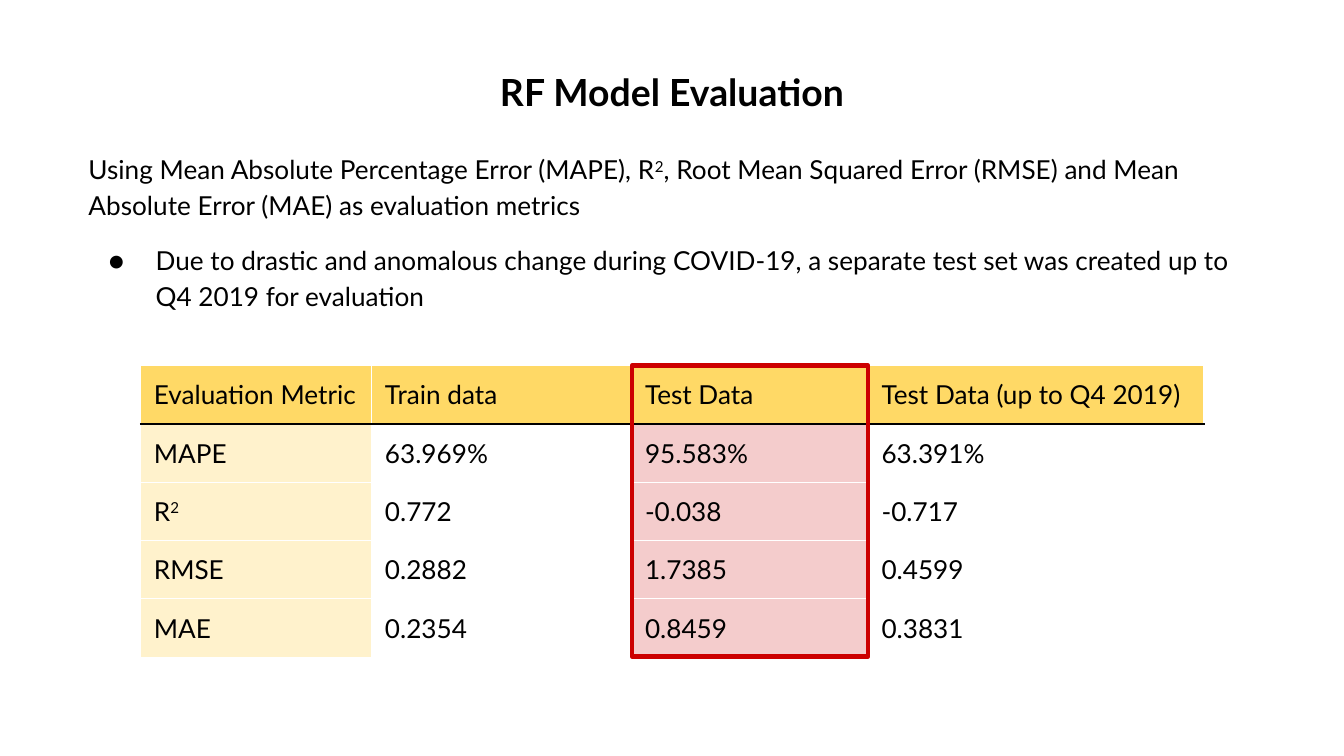
from lxml import etree
from pptx import Presentation
from pptx.dml.color import RGBColor
from pptx.enum.shapes import MSO_SHAPE
from pptx.enum.text import PP_ALIGN
from pptx.oxml.ns import qn
from pptx.util import Pt

RECT = MSO_SHAPE.RECTANGLE
CENTER = PP_ALIGN.CENTER
SCALE = 4572
PAD = 20
FONT = "Lato"
BLACK, WHITE = "000000", "FFFFFF"
GOLD, CREAM, PINK, RED = "FFD966", "FFF2CC", "F4CCCC", "CC0000"

COLS = [344, 387, 352, 500]
ROW = 84
MARKED = 2
TINTS = [CREAM, None, PINK, None]
DATA = [
    ["Evaluation Metric", "Train data", "Test Data", "Test Data (up to Q4 2019)"],
    ["MAPE", "63.969%", "95.583%", "63.391%"],
    ["R^2", "0.772", "-0.038", "-0.717"],
    ["RMSE", "0.2882", "1.7385", "0.4599"],
    ["MAE", "0.2354", "0.8459", "0.3831"],
]
INTRO = ("Using Mean Absolute Percentage Error (MAPE), R^2^, Root Mean Squared "
         "Error (RMSE) and Mean Absolute Error (MAE) as evaluation metrics")
POINT = ("Due to drastic and anomalous change during COVID-19, a separate "
         "test set was created up to Q4 2019 for evaluation")


def px(n):
    return n * SCALE


def color(code):
    return RGBColor.from_string(code)


def add_runs(para, text, size=14, bold=False):
    for i, part in enumerate(text.split("^")):
        run = para.add_run()
        run.text = part
        font = run.font
        font.name, font.size, font.bold = FONT, Pt(size), bold
        font.color.rgb = color(BLACK)
        if i % 2:
            font._element.set("baseline", "30000")


def add_box(slide, box):
    frame = slide.shapes.add_textbox(*map(px, box)).text_frame
    frame.word_wrap = True
    frame.margin_left = frame.margin_right = px(PAD)
    frame.margin_top = frame.margin_bottom = px(PAD)
    return frame


def add_bullet(para, left, hang):
    props = para._p.get_or_add_pPr()
    props.set("marL", str(px(left)))
    props.set("indent", str(px(-hang)))
    tint = etree.SubElement(props, qn("a:buClr"))
    etree.SubElement(tint, qn("a:srgbClr"), val=BLACK)
    etree.SubElement(props, qn("a:buFont"), typeface=FONT)
    etree.SubElement(props, qn("a:buChar"), char="●")


def add_title(slide, box):
    para = add_box(slide, box).paragraphs[0]
    para.alignment = CENTER
    add_runs(para, "RF Model Evaluation", 20, True)


def add_body(slide, box):
    frame = add_box(slide, box)
    intro, point = frame.paragraphs[0], frame.add_paragraph()
    add_bullet(point, 100, 70)
    point.space_before = Pt(10)
    for para, text in ((intro, INTRO), (point, POINT)):
        para.line_spacing = 1.15
        add_runs(para, text)


def add_edge(cell, side, code, width):
    props = cell._tc.get_or_add_tcPr()
    line = etree.SubElement(props, qn("a:ln" + side), w=str(Pt(width)))
    fill = etree.SubElement(line, qn("a:solidFill"))
    etree.SubElement(fill, qn("a:srgbClr"), val=code)


def style_cell(cell, row, tint):
    cell.margin_left = cell.margin_right = px(PAD)
    cell.margin_top = cell.margin_bottom = px(PAD)
    rule = {0: "B", 1: "T"}.get(row)
    for side in "LRTB":
        code, width = (BLACK, 1.5) if side == rule else (WHITE, 0.75)
        add_edge(cell, side, code, width)
    if tint:
        cell.fill.solid()
        cell.fill.fore_color.rgb = color(tint)
    else:
        cell.fill.background()


def add_scores(slide, box):
    shape = slide.shapes.add_table(len(DATA), len(COLS), *map(px, box))
    table = shape.table
    table.first_row = table.horz_banding = False
    for col, width in zip(table.columns, COLS):
        col.width = px(width)
    for r, line in enumerate(DATA):
        table.rows[r].height = px(ROW)
        for c, text in enumerate(line):
            cell = table.cell(r, c)
            style_cell(cell, r, TINTS[c] if r else GOLD)
            add_runs(cell.text_frame.paragraphs[0], text)


def add_frame(slide, box):
    left, top, _, height = box
    spot = (left + sum(COLS[:MARKED]), top, COLS[MARKED], height)
    shape = slide.shapes.add_shape(RECT, *map(px, spot))
    shape.shadow.inherit = False
    shape.fill.background()
    shape.line.color.rgb = color(RED)
    shape.line.width = Pt(2.25)


def main():
    deck = Presentation()
    deck.slide_width, deck.slide_height = px(2000), px(1125)
    slide = deck.slides.add_slide(deck.slide_layouts[6])
    add_title(slide, (325, 83, 1350, 242))
    add_body(slide, (112, 202, 1776, 290))
    add_scores(slide, (209, 544, sum(COLS), ROW * len(DATA)))
    add_frame(slide, (209, 544, sum(COLS), 433))
    deck.save("out.pptx")


if __name__ == "__main__":
    main()
